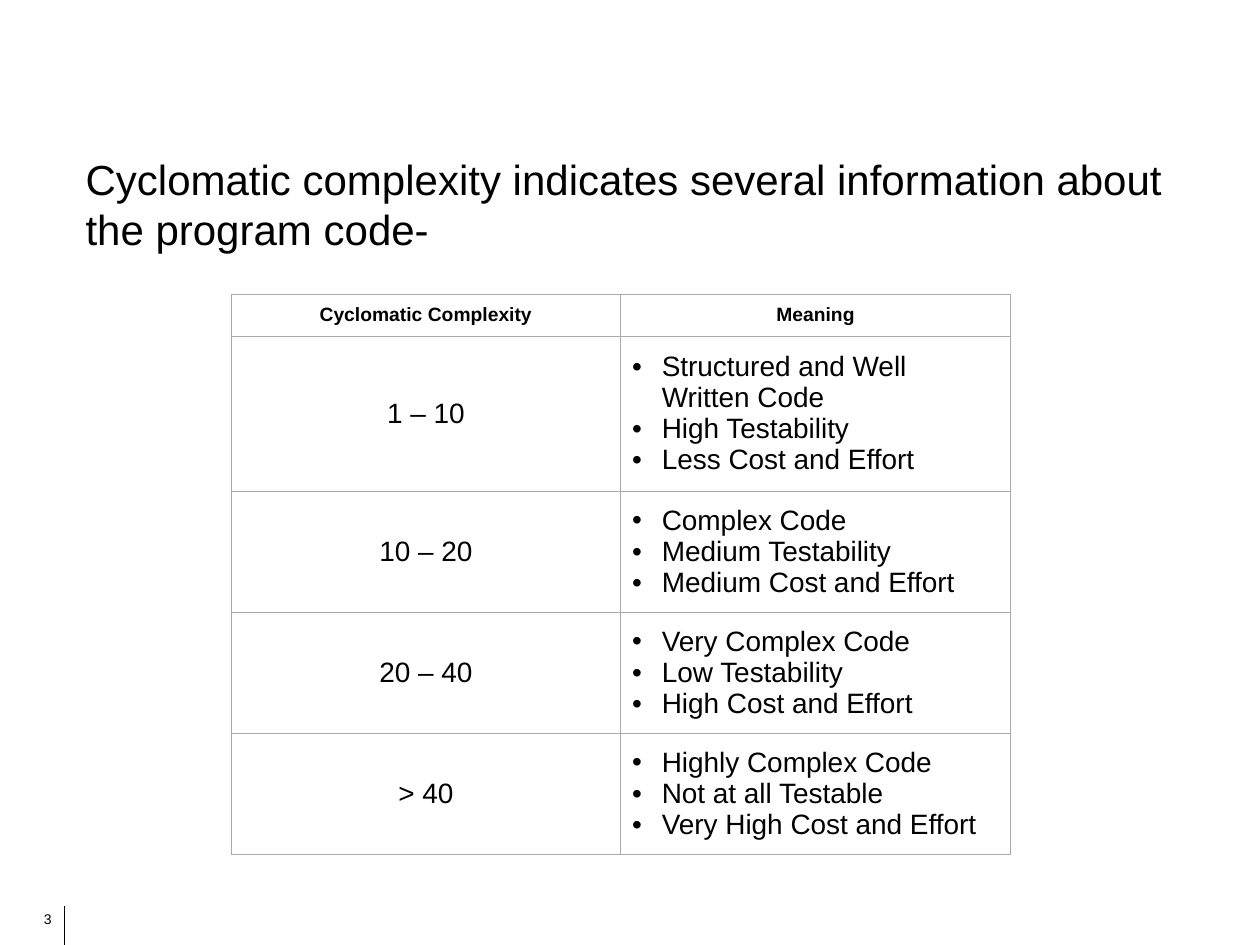
from lxml import etree
from pptx import Presentation
from pptx.dml.color import RGBColor
from pptx.enum.shapes import MSO_CONNECTOR
from pptx.enum.text import MSO_ANCHOR, PP_ALIGN
from pptx.oxml.ns import qn
from pptx.util import Pt

CENTER, LEFT, RIGHT = PP_ALIGN.CENTER, PP_ALIGN.LEFT, PP_ALIGN.RIGHT
MIDDLE = MSO_ANCHOR.MIDDLE
STRAIGHT = MSO_CONNECTOR.STRAIGHT
BLACK, WHITE, GRAY = "000000", "FFFFFF", "AAAAAA"


def color(value):
    return RGBColor.from_string(value)


def format_paragraph(paragraph, size, alignment, bold=False, spacing=None):
    paragraph.alignment = alignment
    if spacing:
        paragraph.line_spacing = Pt(spacing)
    for run in paragraph.runs:
        run.font.name = "Arial"
        run.font.size = Pt(size)
        run.font.bold = bold
        run.font.color.rgb = color(BLACK)


presentation = Presentation()
presentation.slide_width = Pt(720)
presentation.slide_height = Pt(540)
slide = presentation.slides.add_slide(presentation.slide_layouts[6])

footer_line = slide.shapes.add_connector(STRAIGHT, Pt(36.9), Pt(517.7), Pt(36.9), Pt(540))
footer_line.line.color.rgb = color(BLACK)
footer_line.line.width = Pt(0.75)
etree.SubElement(footer_line._element.spPr, qn("a:effectLst"))

text_boxes = [
    ("3", (3.6, 517, 25.9, 16.6), 8, RIGHT, 0, None),
    ("Cyclomatic complexity indicates several information about the program code-",
     (41.8, 84.2, 653.8, 64.8), 24, LEFT, 7.2, 28.8),
]
for text, bounds, size, alignment, right_margin, spacing in text_boxes:
    text_box = slide.shapes.add_textbox(*map(Pt, bounds))
    text_frame = text_box.text_frame
    text_frame.word_wrap = True
    text_frame.margin_right = Pt(right_margin)
    text_frame.text = text
    format_paragraph(text_frame.paragraphs[0], size, alignment, spacing=spacing)

rows = [
    ("Cyclomatic Complexity", ["Meaning"]),
    ("1 – 10", ["Structured and Well Written Code", "High Testability", "Less Cost and Effort"]),
    ("10 – 20", ["Complex Code", "Medium Testability", "Medium Cost and Effort"]),
    ("20 – 40", ["Very Complex Code", "Low Testability", "High Cost and Effort"]),
    ("> 40", ["Highly Complex Code", "Not at all Testable", "Very High Cost and Effort"]),
]
row_heights = [24, 88.6, 69.15, 69.15, 69.15]
column_width = 222.7

table = slide.shapes.add_table(
    len(rows), 2, Pt(132), Pt(168), Pt(2 * column_width), Pt(sum(row_heights))
).table
table.first_row = False
table.horz_banding = False
for column in table.columns:
    column.width = Pt(column_width)

for row_index, (complexity, meanings) in enumerate(rows):
    table.rows[row_index].height = Pt(row_heights[row_index])
    header = row_index == 0
    for column_index, lines in enumerate([[complexity], meanings]):
        cell = table.cell(row_index, column_index)
        cell.vertical_anchor = MIDDLE
        cell.margin_left = cell.margin_right = Pt(6.5)
        cell.margin_top = cell.margin_bottom = Pt(3.6)
        cell.text_frame.text = "\n".join(lines)
        bulleted = column_index == 1 and not header
        for paragraph in cell.text_frame.paragraphs:
            if bulleted:
                properties = paragraph._p.get_or_add_pPr()
                properties.set("marL", str(Pt(17)))
                properties.set("indent", str(Pt(-17)))
                bullet_color = etree.SubElement(properties, qn("a:buClr"))
                etree.SubElement(bullet_color, qn("a:srgbClr"), val=BLACK)
                etree.SubElement(properties, qn("a:buFont"), typeface="Arial")
                etree.SubElement(properties, qn("a:buChar"), char="•")
            format_paragraph(
                paragraph, 11 if header else 16, LEFT if bulleted else CENTER,
                header, None if header else 17.8,
            )
        cell_properties = cell._tc.get_or_add_tcPr()
        for side in ("lnL", "lnR", "lnT", "lnB"):
            border = etree.SubElement(cell_properties, qn(f"a:{side}"), w=str(Pt(0.34)))
            border_fill = etree.SubElement(border, qn("a:solidFill"))
            etree.SubElement(border_fill, qn("a:srgbClr"), val=GRAY)
        cell.fill.solid()
        cell.fill.fore_color.rgb = color(WHITE)

presentation.save("out.pptx")
